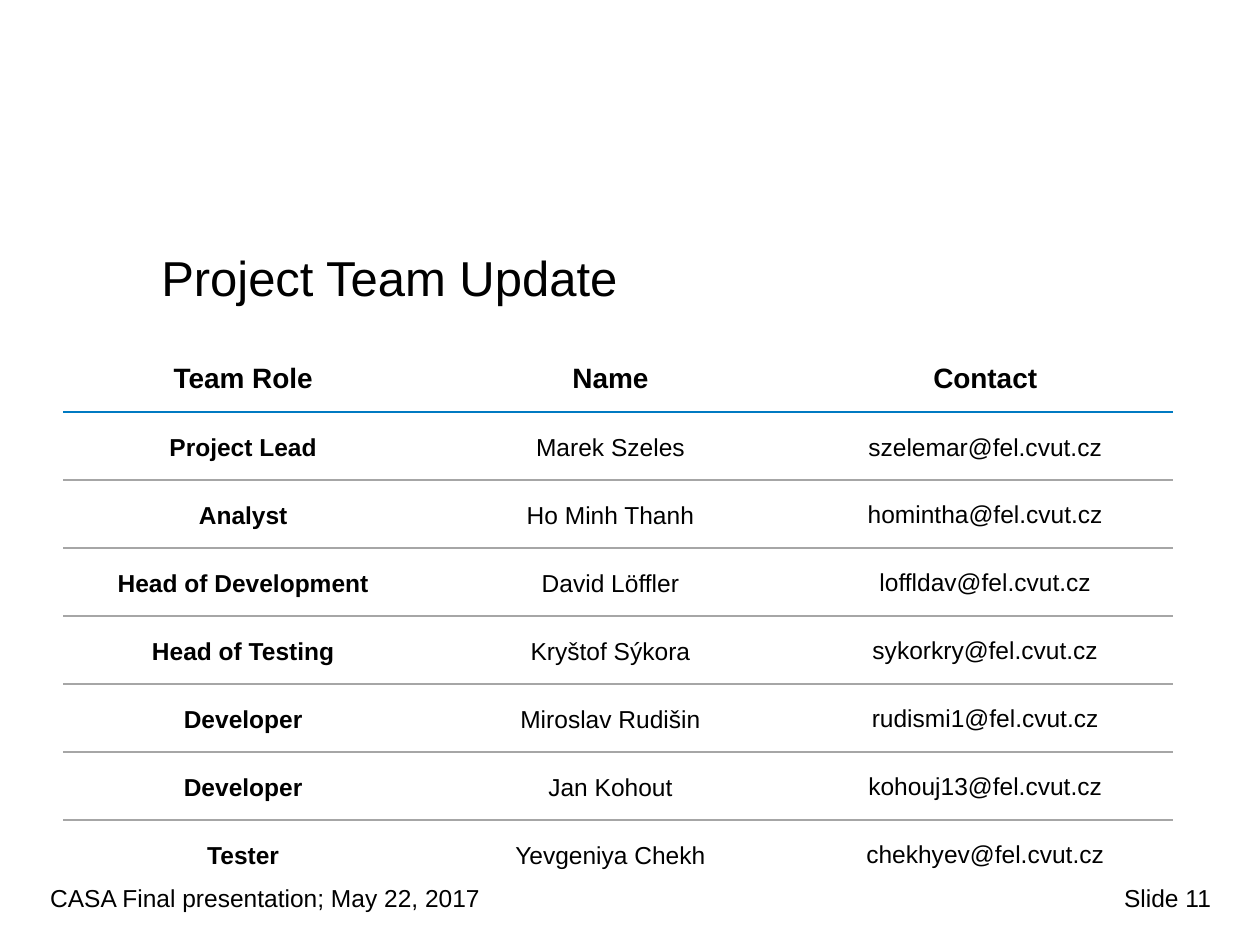
from lxml.etree import SubElement as Sub
from pptx import Presentation
from pptx.dml.color import RGBColor
from pptx.enum.text import MSO_ANCHOR as Anchor, PP_ALIGN as Align
from pptx.oxml.ns import qn
from pptx.util import Inches, Pt

FONT, BLACK, BLUE, GREY = "Arial", "000000", "007AC2", "A6A6A6"
HEAD = ("Team Role", "Name", "Contact")
TEAM = [
    ("Project Lead", "Marek Szeles", "szelemar@fel.cvut.cz"),
    ("Analyst", "Ho Minh Thanh", "homintha@fel.cvut.cz"),
    ("Head of Development", "David Löffler", "loffldav@fel.cvut.cz"),
    ("Head of Testing", "Kryštof Sýkora", "sykorkry@fel.cvut.cz"),
    ("Developer", "Miroslav Rudišin", "rudismi1@fel.cvut.cz"),
    ("Developer", "Jan Kohout", "kohouj13@fel.cvut.cz"),
    ("Tester", "Yevgeniya Chekh", "chekhyev@fel.cvut.cz"),
]
WIDE = (2.86, 2.97, 2.98)
TALL = (0.56,) + (0.54,) * len(TEAM)


def color(code):
    return RGBColor.from_string(code)


def write(frame, text, size, align=Align.LEFT, bold=False, gap=None):
    para = frame.paragraphs[0]
    para.alignment = align
    if gap:
        para.line_spacing = gap
    run = para.add_run()
    run.text = text
    font = run.font
    font.name, font.size, font.bold = FONT, Pt(size), bold
    font.color.rgb = color(BLACK)


def add_title(slide, text):
    title = slide.shapes.title
    title.left, title.top = Inches(1.18), Inches(1.97)
    title.width, title.height = Inches(8.52), Inches(1.19)
    title.text_frame.vertical_anchor = Anchor.TOP
    write(title.text_frame, text, 28, gap=0.9)


def add_note(slide, text, left, width, align):
    box = slide.shapes.add_textbox(
        Inches(left), Inches(6.96), Inches(width), Inches(0.34))
    box.text_frame.word_wrap = True
    write(box.text_frame, text, 14, align)


def add_edge(cell, side, line=None):
    """Draw one cell border, or clear it when no line is given."""
    edge = Sub(cell._tc.get_or_add_tcPr(), qn(f"a:ln{side}"))
    if line is None:
        Sub(edge, qn("a:noFill"))
        return
    code, width = line
    edge.set("w", str(Pt(width)))
    Sub(Sub(edge, qn("a:solidFill")), qn("a:srgbClr")).set("val", code)


def fill_cell(cell, text, row, col):
    # Mail addresses below the first entry are set tighter
    tight = row > 1 and col == 2
    side, top, base = (0.01, 0.01, 0) if tight else (0.07, 0.02, 0.02)
    cell.margin_left = cell.margin_right = Inches(side)
    cell.margin_top, cell.margin_bottom = Inches(top), Inches(base)
    cell.vertical_anchor = Anchor.MIDDLE
    write(cell.text_frame, text, 14 if row else 16, Align.CENTER,
          bold=row == 0 or col == 0, gap=None if tight else 1.15)

    # Rules lie only between rows; the one below the header is blue
    rules = [None, (BLUE, 1.5)] + [(GREY, 1)] * (len(TEAM) - 1) + [None]
    add_edge(cell, "L")
    add_edge(cell, "R")
    add_edge(cell, "T", rules[row])
    add_edge(cell, "B", rules[row + 1])
    cell.fill.background()


def add_team(slide):
    rows = [HEAD] + TEAM
    table = slide.shapes.add_table(
        len(rows), len(HEAD), Inches(0.5), Inches(2.71),
        Inches(sum(WIDE)), Inches(sum(TALL))).table
    table.first_row = table.horz_banding = False
    for col, width in zip(table.columns, WIDE):
        col.width = Inches(width)
    for row, height in zip(table.rows, TALL):
        row.height = Inches(height)
    for r, row in enumerate(rows):
        for c, text in enumerate(row):
            fill_cell(table.cell(r, c), text, r, c)


def main():
    deck = Presentation()
    deck.slide_width, deck.slide_height = Inches(10), Inches(7.5)
    slide = deck.slides.add_slide(deck.slide_layouts[5])

    # Footer
    add_note(slide, "CASA Final presentation; May 22, 2017", 0.3, 4.43, Align.LEFT)
    add_note(slide, "Slide 11", 6.97, 2.74, Align.RIGHT)

    # Title and team table
    add_title(slide, "Project Team Update")
    add_team(slide)
    deck.save("out.pptx")


if __name__ == "__main__":
    main()
